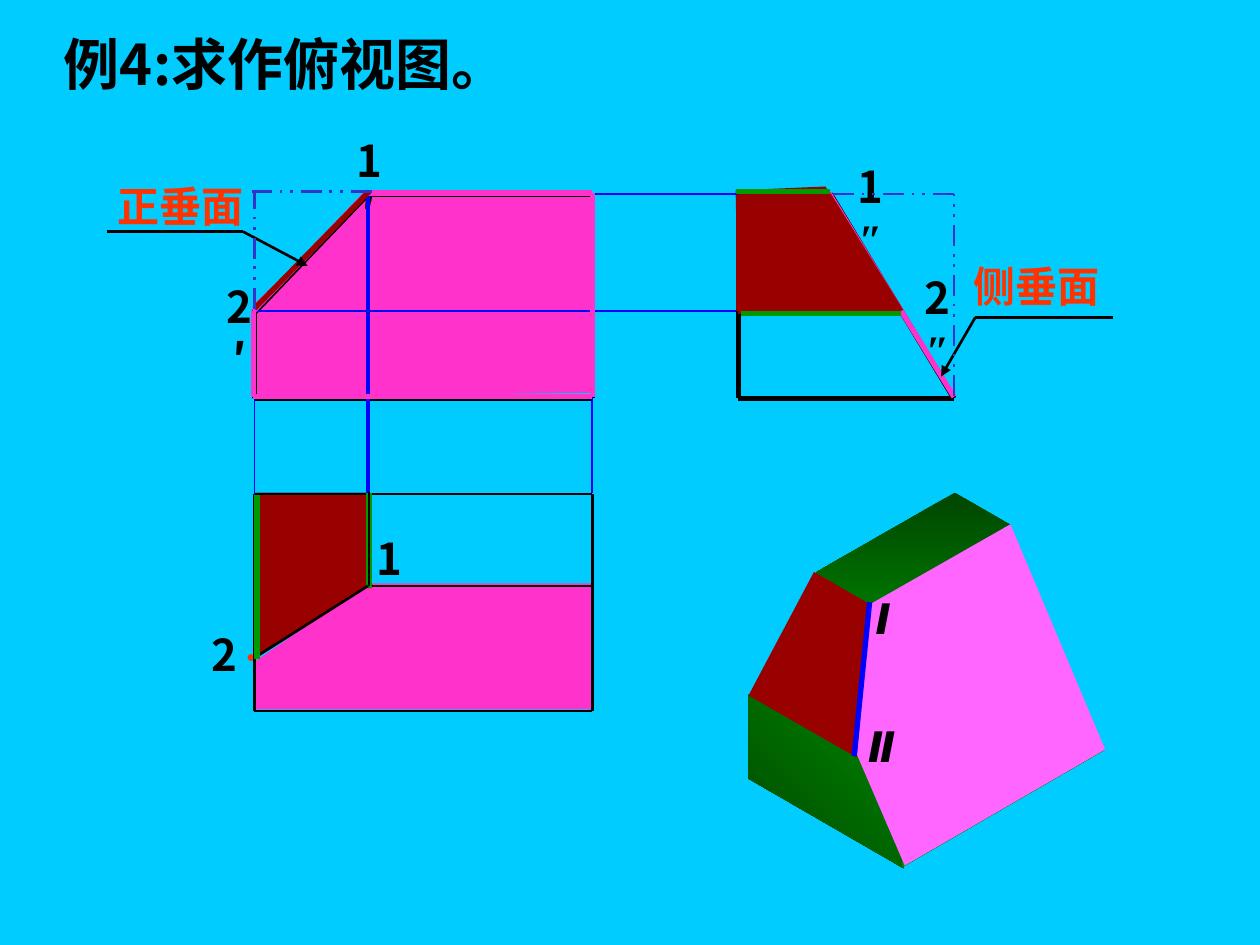
from itertools import pairwise

from lxml.etree import SubElement
from pptx import Presentation
from pptx.dml.color import RGBColor as Color
from pptx.enum.dml import MSO_LINE as Dash
from pptx.enum.shapes import MSO_CONNECTOR as Link
from pptx.enum.text import MSO_ANCHOR as Anchor, PP_ALIGN as Align
from pptx.oxml.ns import qn
from pptx.util import Cm, Pt

theme = {
    "sky": "00CCFF", "black": "000000", "maroon": "990000", "pink": "FF33CC",
    "lilac": "FF66FF", "blue": "0000FF", "indigo": "3333CC", "green": "009900",
    "leaf": "007A00", "forest": "004700", "orange": "FF3300",
    "cjk": "Noto Sans CJK SC", "latin": "Lato", "serif": "Times New Roman",
    "title": 32, "point": 25, "label": 24, "dot": 9,
}


def color(name):
    return Color.from_string(theme[name])


def add_span(para, text, size, font, ink, italic):
    span = para.add_run()
    span.text = text
    values = {"size": Pt(theme[size]), "name": theme[font], "bold": True, "italic": italic}
    for name, value in values.items():
        setattr(span.font, name, value)
    span.font.color.rgb = color(ink)
    SubElement(span.font._element, qn("a:ea"), typeface=theme[font])


deck = Presentation()
deck.slide_width, deck.slide_height = Cm(25.4), Cm(19.05)
page = deck.slides.add_slide(deck.slide_layouts[6])
page.background.fill.solid()
page.background.fill.fore_color.rgb = color("sky")

faces = [
    ("maroon", [(14.83, 3.84), (14.88, 6.27), (18.11, 6.22), (16.64, 3.76)]),
    ("pink", [(5.13, 6.12), (5.13, 8), (11.94, 7.92), (11.89, 3.86), (7.54, 3.84)]),
    ("pink", [(5.13, 14.3), (11.94, 14.3), (11.94, 11.76), (7.44, 11.76), (5.13, 13.34)]),
    ("maroon", [(5.13, 9.93), (7.44, 9.93), (7.44, 11.81), (5.13, 13.28)]),
    (("forest", "green", 270), [(15.09, 12.32), (18.16, 14.1), (22.3, 11.71), (19.25, 9.93)]),
    (("forest", "green", 45), [(15.09, 12.29), (18.21, 14.05), (18.21, 17.5), (15.09, 15.7)]),
    (("green", "leaf", 315), [(18.19, 14.05), (18.19, 17.48), (22.28, 15.11), (22.28, 11.68)]),
    ("sky", [(20.4, 10.57), (22.43, 11.58), (22.3, 15.19), (20.24, 10.64)]),
    ("lilac", [(16.28, 12.9), (20.37, 10.57), (22.28, 15.11), (18.24, 17.45)]),
    ("sky", [(16.41, 11.18), (14.58, 12.01), (14.66, 13.72), (15.21, 14.07), (16.64, 11.15)]),
    ("maroon", [(16.41, 11.53), (17.55, 12.19), (17.27, 15.27), (15.09, 14.02)]),
]
for paint, corners in faces:
    start, *others = [(Cm(x), Cm(y)) for x, y in corners]
    outline = page.shapes.build_freeform(*start, scale=1.0)
    outline.add_line_segments(others, close=True)
    face = outline.convert_to_shape()
    face.shadow.inherit = False
    face.line.fill.background()
    if isinstance(paint, tuple):
        *shades, angle = paint
        face.fill.gradient()
        face.fill.gradient_angle = angle
        for stop, shade in zip(face.fill.gradient_stops, shades):
            stop.color.rgb = color(shade)
    else:
        face.fill.solid()
        face.fill.fore_color.rgb = color(paint)

styles = {
    "title": ("title", "cjk", "black", False),
    "point": ("point", "cjk", "black", False),
    "second": ("label", "serif", "black", False),
    "solid": ("label", "latin", "black", True),
    "plane": ("label", "cjk", "orange", False),
    "dot": ("dot", "serif", "orange", False),
}
labels = [
    (1.04, 0.46, 9.93, 1.63, [("例4:求作俯视图。", "title")]),
    (4.45, 5.64, 0.76, 1.07, [("2′", "point")]),
    (7.06, 2.69, 0.76, 1.07, [("1′", "point")]),
    (18.42, 5.46, 0.97, 1.07, [("2", "point"), ("″", "second")]),
    (17.07, 3.23, 0.97, 1.07, [("1", "point"), ("″", "second")]),
    (7.59, 10.72, 0.51, 1.07, [("1", "point")]),
    (4.27, 12.65, 0.51, 1.07, [("2", "point")]),
    (17.42, 14.53, 0.71, 1.02, [("Ⅱ", "solid")]),
    (17.6, 11.94, 0.41, 1.02, [("Ⅰ", "solid")]),
    (19.38, 5.13, 3.05, 1.27, [("侧垂面", "plane")]),
    (2.11, 3.51, 3.05, 1.27, [("正垂面", "plane")]),
    (7.11, 11.46, 0.69, 0.64, [("●", "dot")]),
    (4.72, 12.9, 0.69, 0.64, [("●", "dot")]),
]
for left, top, width, height, spans in labels:
    box = page.shapes.add_textbox(Cm(left), Cm(top), Cm(width), Cm(height))
    style = spans[0][1]
    side, edge = (0.25, 0.13) if style == "title" else (0, 0)
    values = {
        "margin_left": Cm(side), "margin_right": Cm(side),
        "margin_top": Cm(edge), "margin_bottom": Cm(edge),
        "word_wrap": style == "title" or sum(len(text) for text, _ in spans) == 2,
        "vertical_anchor": Anchor.MIDDLE if style in ("plane", "dot") else Anchor.TOP,
    }
    for name, value in values.items():
        setattr(box.text_frame, name, value)
    para = box.text_frame.paragraphs[0]
    para.alignment = Align.LEFT if style == "title" else Align.CENTER
    for text, span_style in spans:
        add_span(para, text, *styles[span_style])

strokes = [
    ("black", 3, "", [(16.74, 3.91), (19.23, 8.03), (14.88, 8.03), (14.88, 3.91), (16.74, 3.91)]),
    ("black", 3, "", [(14.88, 6.3), (18.19, 6.3)]),
    ("black", 3, "", [(11.94, 3.91), (11.94, 8.03), (5.13, 8.03), (5.13, 6.3), (7.42, 3.91), (11.94, 3.91)]),
    ("black", 1.5, "", [(5.13, 9.96), (11.94, 9.96), (11.94, 14.33), (5.13, 14.33), (5.13, 9.96)]),
    ("blue", 0, "", [(7.42, 3.91), (7.42, 11.81)]),
    ("black", 1.5, "", [(11.94, 11.81), (7.42, 11.81)]),
    ("pink", 3, "", [(16.71, 3.89), (19.23, 8)]),
    ("maroon", 3, "", [(14.88, 3.91), (16.69, 3.91), (18.16, 6.27), (14.88, 6.27), (14.88, 3.91)]),
    ("blue", 1, "", [(5.08, 6.27), (14.83, 6.27)]),
    ("blue", 1, "", [(7.44, 3.91), (14.88, 3.91)]),
    ("blue", 3, "", [(17.53, 12.14), (17.22, 15.24)]),
    ("blue", 1, "", [(5.13, 7.98), (5.13, 9.98)]),
    ("blue", 1, "", [(11.94, 7.9), (11.94, 9.93)]),
    ("green", 3, "", [(14.83, 3.86), (16.74, 3.86)]),
    ("green", 3, "", [(7.44, 9.93), (7.44, 11.86)]),
    ("black", 1.5, "", [(7.42, 11.81), (5.13, 13.26)]),
    ("green", 3, "", [(5.18, 9.98), (5.18, 13.28)]),
    ("green", 3, "", [(14.94, 6.32), (18.16, 6.32)]),
    ("black", 1.5, "", [(7.44, 11.81), (7.44, 9.91)]),
    ("pink", 3, "", [(11.94, 3.89), (11.94, 8), (5.11, 8), (5.11, 6.27), (7.39, 3.89), (11.94, 3.89)]),
    ("maroon", 3, "", [(7.44, 3.86), (5.13, 6.22)]),
    ("black", 1.5, "arrow", [(18.97, 7.59), (19.66, 6.4), (22.43, 6.4)]),
    ("black", 1.5, "arrow", [(6.2, 5.36), (4.9, 4.67), (2.16, 4.67)]),
    ("indigo", 1.5, "dash", [(5.13, 6.22), (5.13, 3.86)]),
    ("indigo", 1.5, "dash", [(7.49, 3.86), (5.08, 3.86)]),
    ("indigo", 1.5, "dash", [(19.23, 7.98), (19.23, 3.91)]),
    ("indigo", 1.5, "dash", [(16.79, 3.91), (19.23, 3.91)]),
]
for ink, weight, kind, points in strokes:
    for start, end in pairwise(points):
        edge = page.shapes.add_connector(Link.STRAIGHT, *map(Cm, start + end))
        edge.line.color.rgb = color(ink)
        edge.line.width = Pt(weight)
        if kind == "dash":
            edge.line.dash_style = Dash.DASH_DOT_DOT
        properties = edge._element.spPr
        if kind == "arrow" and start == points[0]:
            SubElement(properties.find(qn("a:ln")), qn("a:headEnd"), type="triangle")
        SubElement(properties, qn("a:effectLst"))

deck.save("out.pptx")
